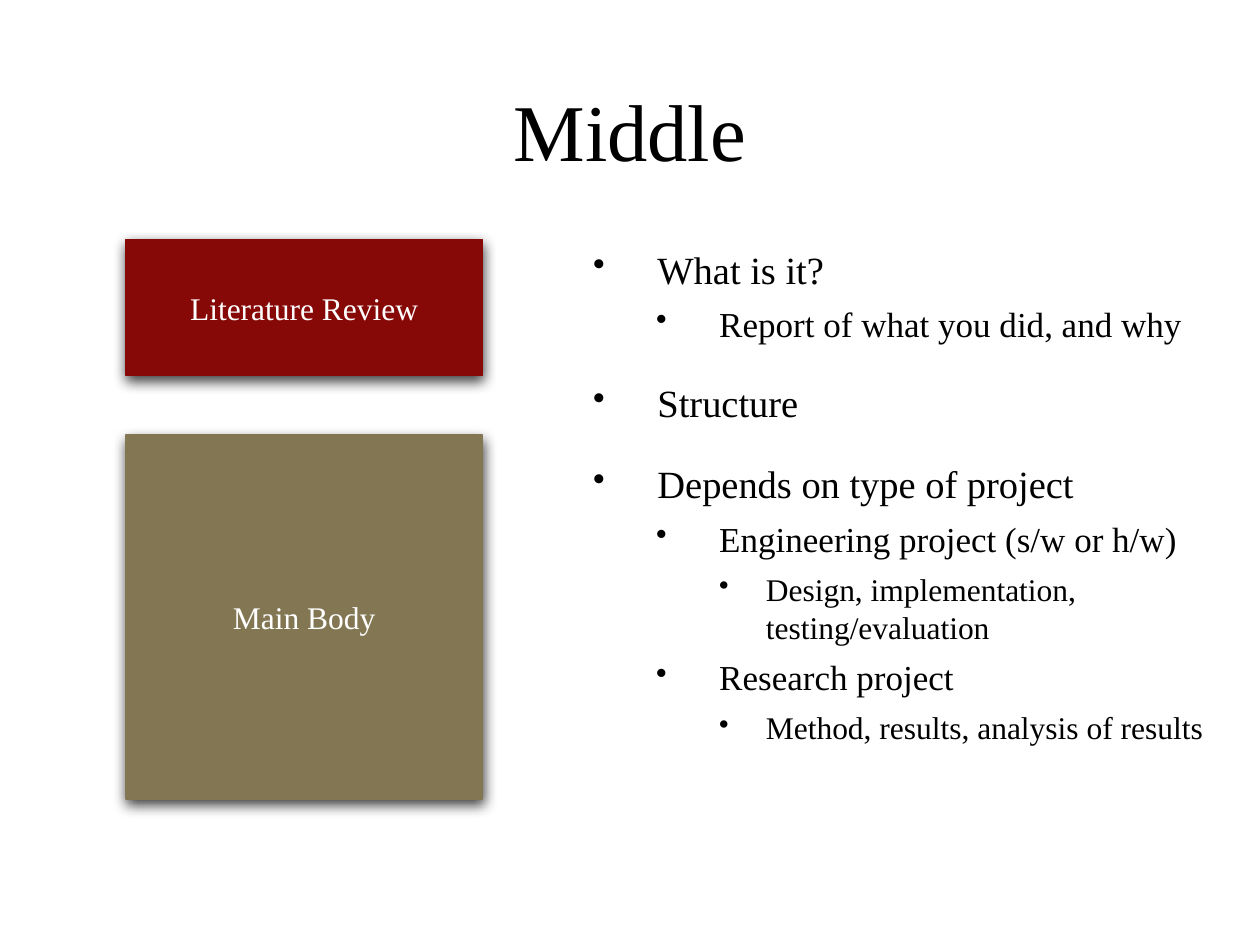
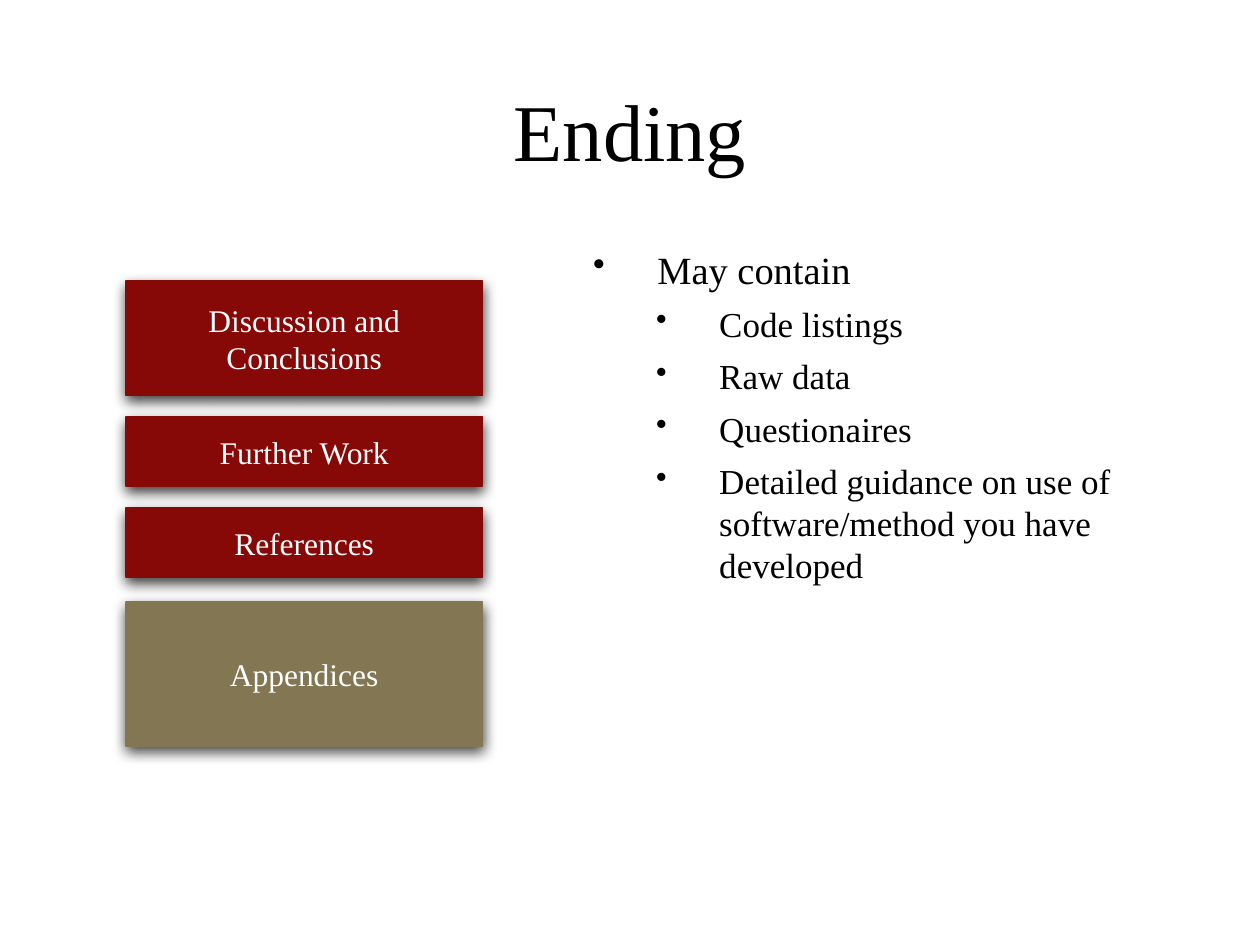
"""Build two slides on the middle and the ending of a project report."""
import pptx
import pptx.dml.color
import pptx.enum.shapes
import pptx.enum.text
import pptx.oxml.ns
import pptx.util
import lxml.etree

SECTIONS = [
    {
        "title": "Middle",
        "chapters": [
            ("Literature Review", "red", 1.9, 1.08),
            ("Main Body", "olive", 3.45, 2.89),
        ],
        "points": [
            (0, "What is it?"),
            (1, "Report of what you did, and why"),
            (0, "Structure"),
            (0, "Depends on type of project"),
            (1, "Engineering project (s/w or h/w)"),
            (2, "Design, implementation, testing/evaluation"),
            (1, "Research project"),
            (2, "Method, results, analysis of results"),
        ],
    },
    {
        "title": "Ending",
        "chapters": [
            ("Discussion and Conclusions", "red", 2.23, 0.91),
            ("Further Work", "red", 3.31, 0.55),
            ("References", "red", 4.03, 0.55),
            ("Appendices", "olive", 4.78, 1.14),
        ],
        "points": [
            (0, "May contain"),
            (1, "Code listings"),
            (1, "Raw data"),
            (1, "Questionaires"),
            (1, "Detailed guidance on use of software/method you have developed"),
        ],
    },
]

THEME = {
    "font": "Times New Roman",
    "ink": "000000",
    "light": "FFFFFF",
    "red": "860908",
    "olive": "827752",
    "title_size": 46,
    "chapter_size": 18,
    "bullet_percent": 90,
    "levels": [
        {"size": 22, "before": 20, "left": 0.51, "hang": 0.51},
        {"size": 20, "before": 6, "left": 1.0, "hang": 0.5},
        {"size": 18, "before": 6, "left": 1.37, "hang": 0.37},
    ],
    "shadow": {"blur": 8, "distance": 3, "angle": 90, "opacity": 75},
}

SLIDE_SIZE = (10, 7.5)
TITLE_AREA = (1, 0.55, 8, 0.95)
POINTS_AREA = (4.61, 1.9, 5.08, 4.44)
CHAPTER_LEFT, CHAPTER_WIDTH = 1, 2.83


def inches(lengths):
    return [pptx.util.Inches(length) for length in lengths]


def color(name):
    return pptx.dml.color.RGBColor.from_string(THEME[name])


def add_child(parent, tag, **attributes):
    child = lxml.etree.SubElement(parent, pptx.oxml.ns.qn(tag))
    for key, value in attributes.items():
        child.set(key, str(value))
    return child


def add_run(paragraph, words, size, ink):
    run = paragraph.add_run()
    run.text = words
    run.font.name = THEME["font"]
    run.font.size = pptx.util.Pt(size)
    run.font.color.rgb = color(ink)


def center_text(frame, words, size, ink):
    frame.word_wrap = True
    frame.vertical_anchor = pptx.enum.text.MSO_ANCHOR.MIDDLE
    paragraph = frame.paragraphs[0]
    paragraph.alignment = pptx.enum.text.PP_ALIGN.CENTER
    add_run(paragraph, words, size, ink)


def add_title(slide, words):
    title = slide.shapes.add_textbox(*inches(TITLE_AREA))
    center_text(title.text_frame, words, THEME["title_size"], "ink")


def add_points(slide, points):
    frame = slide.shapes.add_textbox(*inches(POINTS_AREA)).text_frame
    frame.word_wrap = True
    for index, (level, words) in enumerate(points):
        style = THEME["levels"][level]
        point = frame.add_paragraph() if index else frame.paragraphs[0]
        point.level = level
        point.space_before = pptx.util.Pt(style["before"])
        properties = point._p.get_or_add_pPr()
        properties.set("marL", str(pptx.util.Inches(style["left"])))
        properties.set("indent", str(-pptx.util.Inches(style["hang"])))
        add_child(properties, "a:buSzPct", val=THEME["bullet_percent"] * 1000)
        add_child(properties, "a:buChar", char="•")
        add_run(point, words, style["size"], "ink")


def cast_shadow(shape):
    shadow = THEME["shadow"]
    shape.shadow.inherit = False
    effects = shape._element.spPr.find(pptx.oxml.ns.qn("a:effectLst"))
    outer = add_child(
        effects, "a:outerShdw",
        blurRad=pptx.util.Pt(shadow["blur"]), dist=pptx.util.Pt(shadow["distance"]),
        dir=shadow["angle"] * 60000, rotWithShape=0,
    )
    tint = add_child(outer, "a:srgbClr", val=THEME["ink"])
    add_child(tint, "a:alpha", val=shadow["opacity"] * 1000)


def add_chapter(slide, words, fill, top, height):
    chapter = slide.shapes.add_shape(
        pptx.enum.shapes.MSO_SHAPE.RECTANGLE,
        *inches((CHAPTER_LEFT, top, CHAPTER_WIDTH, height)),
    )
    chapter.fill.solid()
    chapter.fill.fore_color.rgb = color(fill)
    chapter.line.color.rgb = color(fill)
    chapter.line.width = pptx.util.Pt(1)
    cast_shadow(chapter)
    center_text(chapter.text_frame, words, THEME["chapter_size"], "light")


def main():
    deck = pptx.Presentation()
    deck.slide_width, deck.slide_height = inches(SLIDE_SIZE)
    for section in SECTIONS:
        slide = deck.slides.add_slide(deck.slide_layouts[6])
        add_title(slide, section["title"])
        add_points(slide, section["points"])
        for chapter in section["chapters"]:
            add_chapter(slide, *chapter)
    deck.save("out.pptx")


if __name__ == "__main__":
    main()
